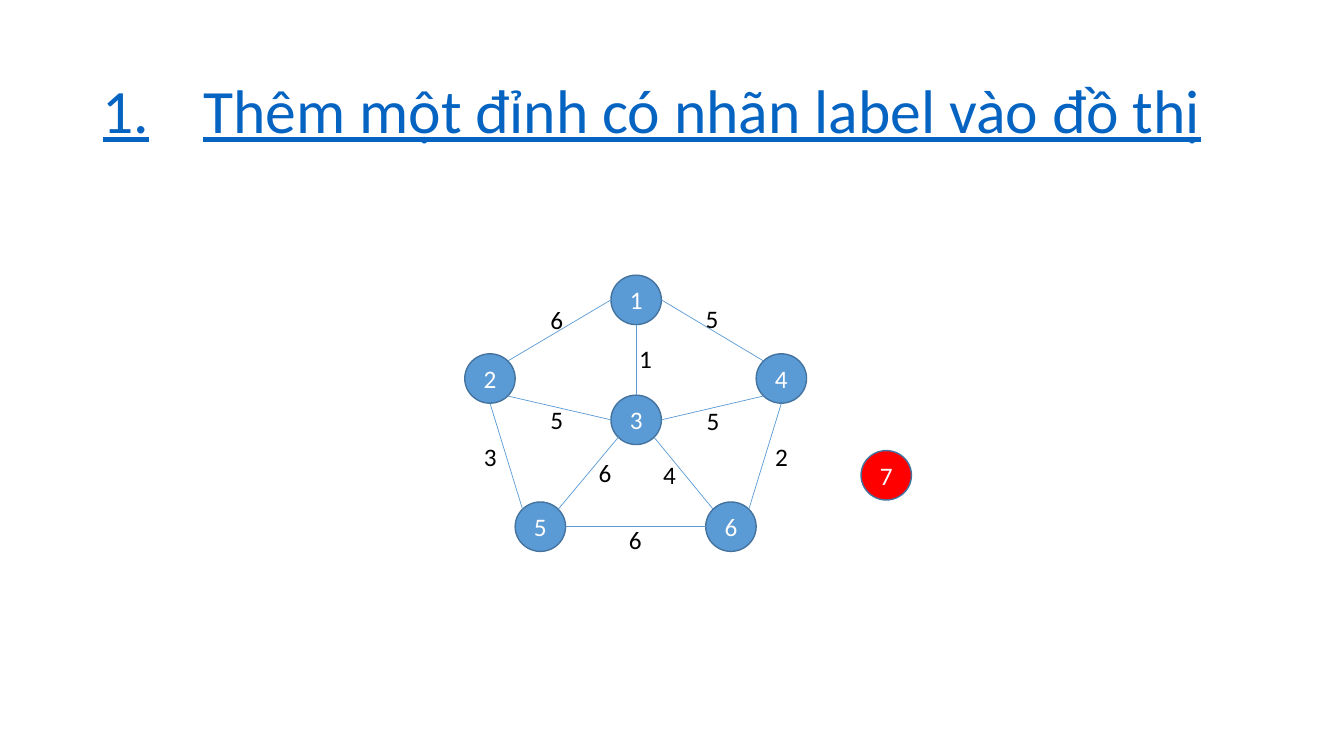
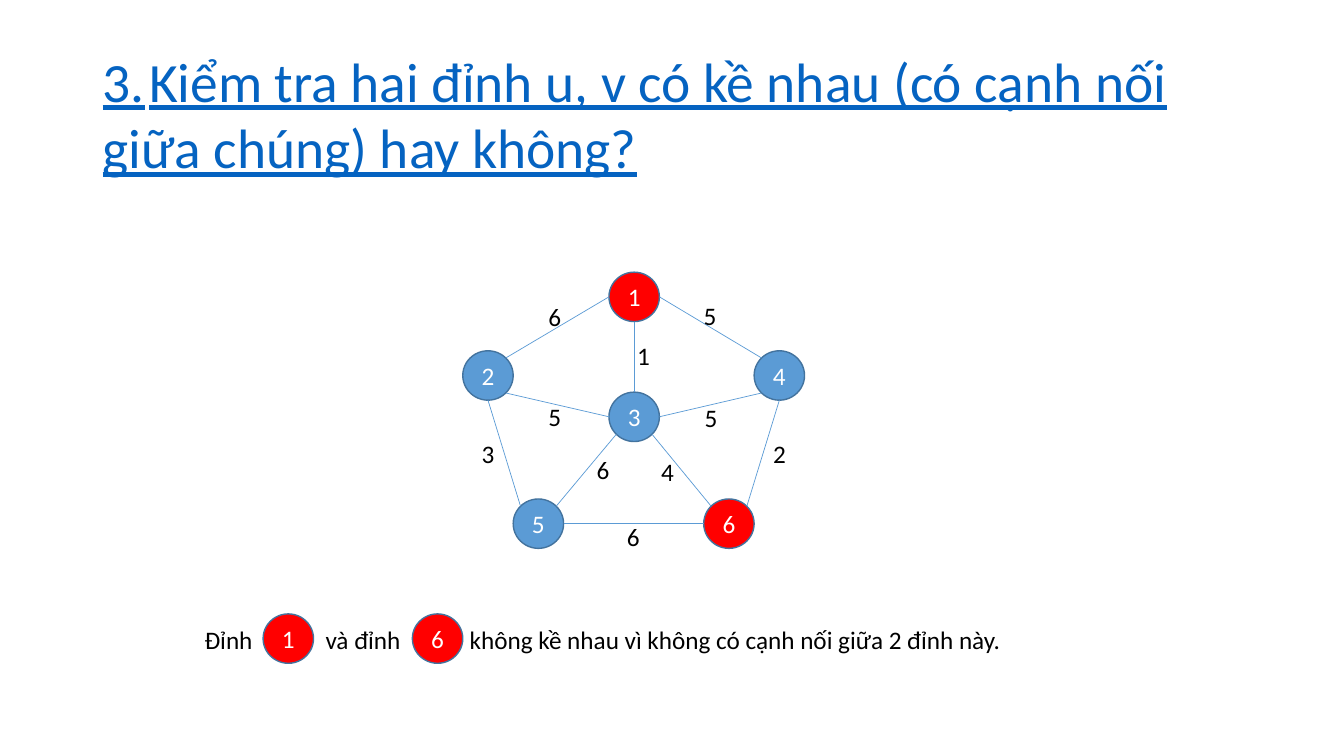
from lxml.etree import SubElement
from pptx import Presentation
from pptx.dml.color import RGBColor
from pptx.enum.shapes import MSO_CONNECTOR, MSO_SHAPE
from pptx.enum.text import MSO_ANCHOR, PP_ALIGN
from pptx.oxml.ns import qn
from pptx.util import Pt

PX = 9144  # 100 px to the inch
BLUE = RGBColor(0x5B, 0x9B, 0xD5)
OUTLINE = RGBColor(0x43, 0x73, 0x9E)
RED = RGBColor(0xFF, 0x00, 0x00)
LINK = RGBColor(0x05, 0x63, 0xC1)
WHITE = RGBColor(0xFF, 0xFF, 0xFF)
BLACK = RGBColor(0x00, 0x00, 0x00)

# Graph: node corners, edge ends as sides of a node, weights with their places
NODE_W, NODE_H = 50, 49
LABEL_W, LABEL_H = 33, 40
NODES = {1: (606, 273), 2: (461, 351), 3: (606, 392),
         4: (750, 351), 5: (511, 498), 6: (700, 498)}
DIAGONAL = 0.71
SIDES = {"top": (0, -1), "bottom": (0, 1), "left": (-1, 0), "right": (1, 0),
         "top left": (-DIAGONAL, -DIAGONAL), "top right": (DIAGONAL, -DIAGONAL),
         "bottom left": (-DIAGONAL, DIAGONAL), "bottom right": (DIAGONAL, DIAGONAL)}
EDGES = [
    (2, "top right", 1, "left", "6", 536, 297),
    (1, "right", 4, "top left", "5", 690, 296),
    (4, "bottom", 6, "top right", "2", 759, 433),
    (2, "bottom", 5, "top left", "3", 470, 433),
    (5, "right", 6, "left", "6", 614, 515),
    (1, "bottom", 3, "top", "1", 624, 336),
    (2, "bottom right", 3, "left", "5", 536, 396),
    (3, "right", 4, "bottom left", "5", 691, 397),
    (3, "bottom right", 6, "top left", "4", 648, 451),
    (3, "bottom left", 5, "top right", "6", 584, 449),
]

# Each slide: title, graph shift, red nodes, extra nodes, sentence
SLIDES = [
    {"title": "1.\tThêm một đỉnh có nhãn label vào đồ thị",
     "size": 44, "tab": 100, "spacing": 0.9, "shift": (0, 0), "red": (),
     "extra": [("7", 854, 447)], "sentence": None},
    {"title": "3.\tKiểm tra hai đỉnh u, v có kề nhau (có cạnh nối giữa chúng) hay không?",
     "size": 39.6, "tab": 46, "spacing": 1.0, "shift": (-2, -3), "red": (1, 6),
     "extra": [("1", 261, 609), ("6", 409, 609)],
     "sentence": "Đỉnh\tvà đỉnh\tkhông kề nhau vì không có cạnh nối giữa 2 đỉnh này."},
]


def write(shape, text, color, size=18, wrap=True, anchor=MSO_ANCHOR.TOP,
          underline=False, tabs=(), **paragraph_format):
    frame = shape.text_frame
    frame.word_wrap = wrap
    frame.vertical_anchor = anchor
    para = frame.paragraphs[0]
    for name, value in paragraph_format.items():
        setattr(para, name, value)
    if tabs:
        tab_list = SubElement(para._p.get_or_add_pPr(), qn("a:tabLst"))
        for position in tabs:
            SubElement(tab_list, qn("a:tab"), pos=str(position * PX), algn="l")
    span = para.add_run()
    span.text = text
    font_format = {"name": "Calibri", "size": Pt(size), "underline": underline}
    for name, value in font_format.items():
        setattr(span.font, name, value)
    span.font.color.rgb = color


def add_node(page, text, left, top, fill):
    node = page.shapes.add_shape(MSO_SHAPE.OVAL, left * PX, top * PX,
                                 NODE_W * PX, NODE_H * PX)
    node.shadow.inherit = False
    node.fill.solid()
    node.fill.fore_color.rgb = fill
    node.line.color.rgb = OUTLINE
    node.line.width = Pt(1)
    write(node, text, WHITE, anchor=MSO_ANCHOR.MIDDLE, alignment=PP_ALIGN.CENTER)


deck = Presentation()
deck.slide_width, deck.slide_height = 1333 * PX, 750 * PX

for content in SLIDES:
    page = deck.slides.add_slide(deck.slide_layouts[6])
    shift_x, shift_y = content["shift"]

    # Title
    title = page.shapes.add_textbox(92 * PX, 40 * PX, 1150 * PX, 145 * PX)
    write(title, content["title"], LINK, content["size"], anchor=MSO_ANCHOR.MIDDLE,
          underline=True, tabs=[content["tab"]], line_spacing=content["spacing"])

    # Nodes of the graph
    for number, (left, top) in NODES.items():
        add_node(page, str(number), left + shift_x, top + shift_y,
                 RED if number in content["red"] else BLUE)

    # Edges and their weights
    for start, start_side, end, end_side, weight, left, top in EDGES:
        points = []
        for number, side in ((start, start_side), (end, end_side)):
            for corner, shift, length, direction in zip(
                    NODES[number], content["shift"], (NODE_W, NODE_H), SIDES[side]):
                points.append(round((corner + shift + length / 2 * (1 + direction)) * PX))
        edge = page.shapes.add_connector(MSO_CONNECTOR.STRAIGHT, *points)
        edge.line.color.rgb = BLUE
        edge.line.width = Pt(0.5)
        SubElement(edge._element.spPr, qn("a:effectLst"))
        label = page.shapes.add_textbox((left + shift_x) * PX, (top + shift_y) * PX,
                                        LABEL_W * PX, LABEL_H * PX)
        write(label, weight, BLACK, wrap=False)

    # Sentence with gaps for its nodes
    if content["sentence"]:
        sentence = page.shapes.add_textbox(193 * PX, 614 * PX, 945 * PX, LABEL_H * PX)
        write(sentence, content["sentence"], BLACK, tabs=[120, 263])

    # Nodes outside the graph
    for text, left, top in content["extra"]:
        add_node(page, text, left, top, RED)

deck.save("out.pptx")
